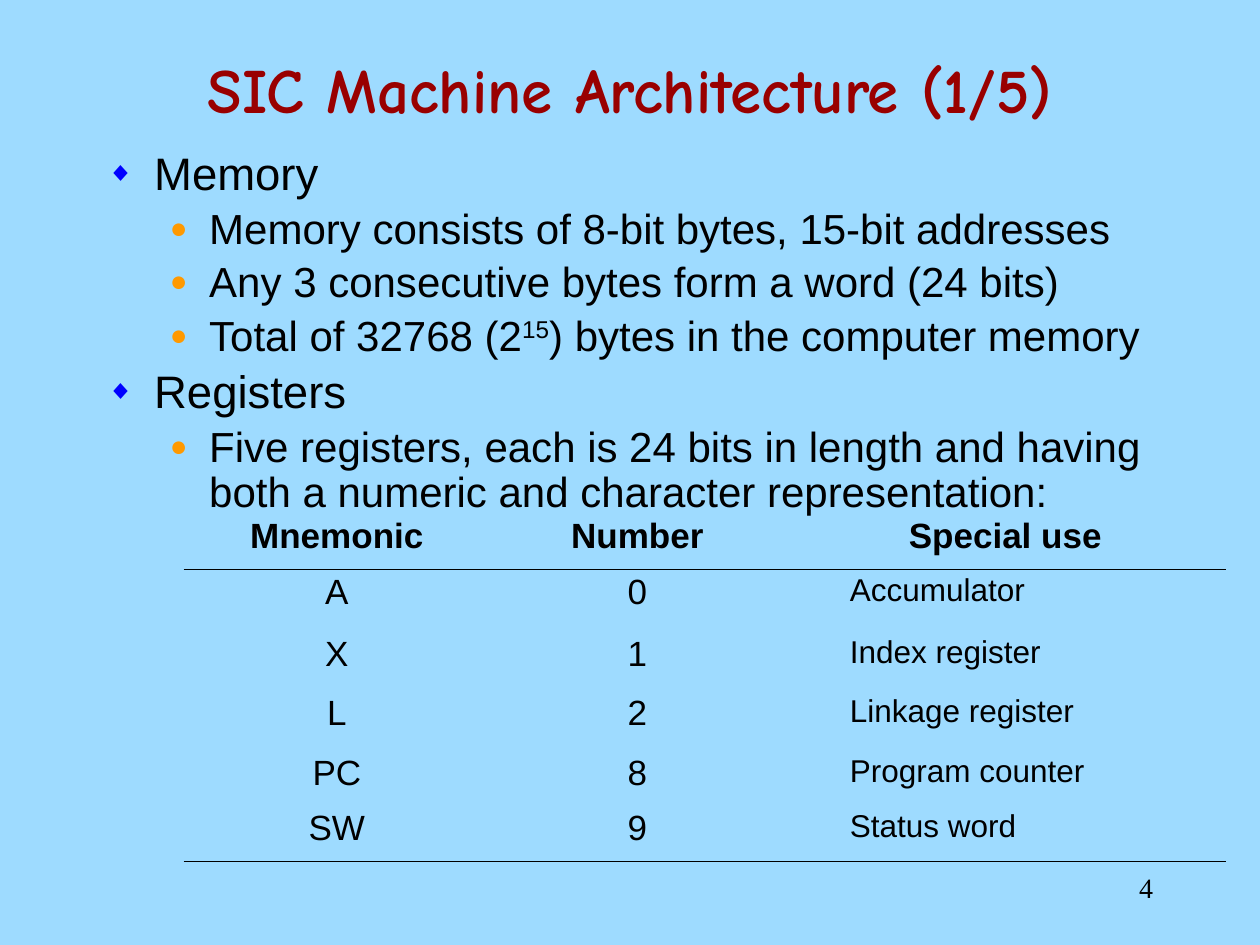
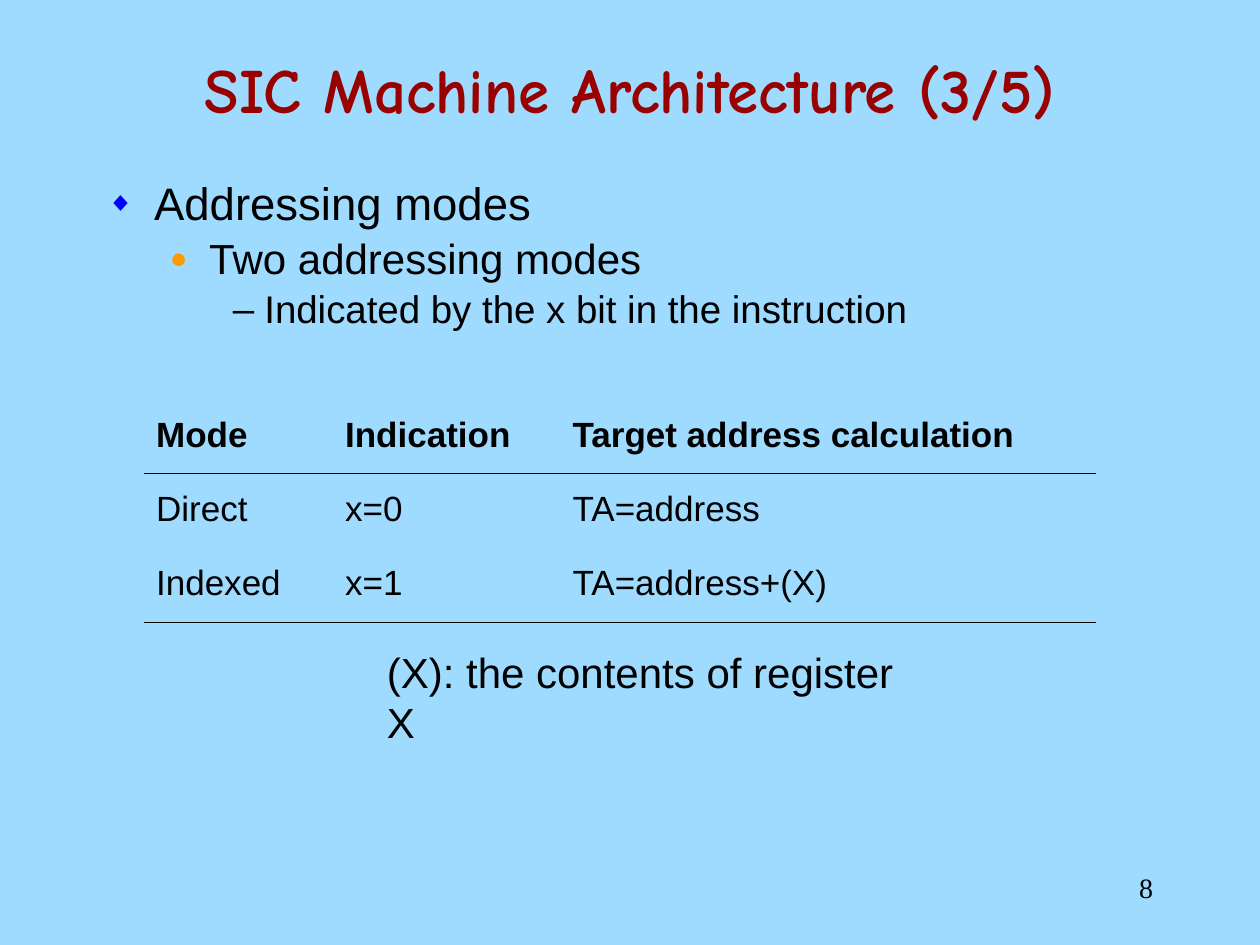
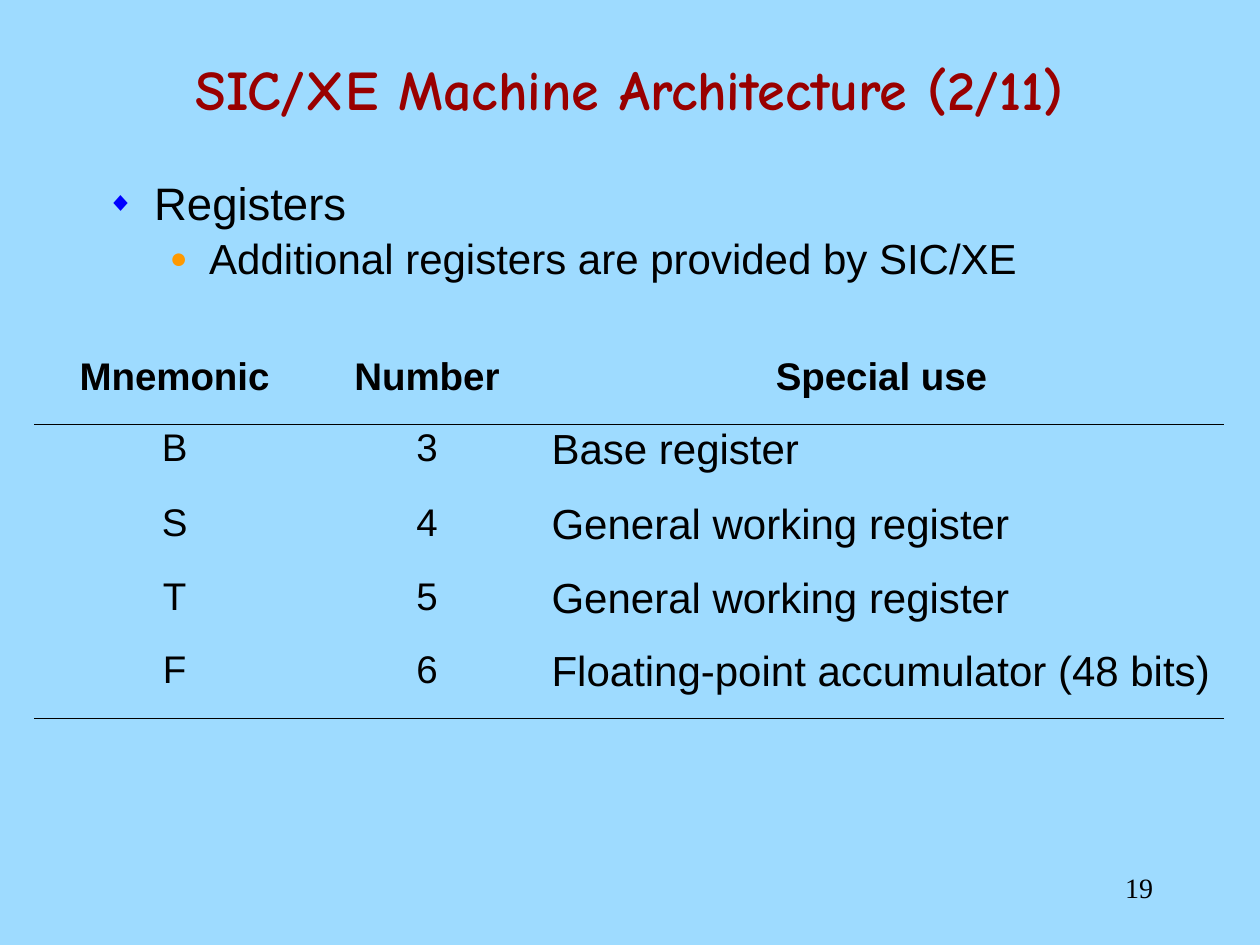
import pptx
import pptx.dml.color
import pptx.enum.text
import pptx.oxml
import pptx.oxml.ns
import pptx.util

Pt = pptx.util.Pt
ALIGN = pptx.enum.text.PP_ALIGN
ANCHOR = pptx.enum.text.MSO_ANCHOR

# Shared look
COLORS = {"background": "9EDBFF", "title": "990000", "text": "000000",
          "diamond": "0000FF", "dot": "FF9900"}
TITLE_FONT, BODY_FONT, NUMBER_FONT = "Comic Neue", "Arial", "Times New Roman"
LINE_SPACING = 0.9
RULE_WIDTH = 0.45
NO_GRID_STYLE = "{2D5ABB26-0587-4C30-8999-92F81FD0307C}"
LEVELS = [
    {"size": 26, "left": 27, "hang": 27, "before": 4.9,
     "bullet": "◆", "color": "diamond", "percent": 60},
    {"size": 24, "left": 58.5, "hang": 22.5, "before": 4.5,
     "bullet": "●", "color": "dot", "percent": 70},
    {"size": 22, "left": 90, "hang": 18, "before": 4.1,
     "bullet": "‒", "color": "text", "percent": 100},
]

# Content: outline entries are (level, text), with ^...^ around superscripts
SLIDES = [
    {
        "title": "SIC Machine Architecture (1/5)", "title_size": 36, "number": "4",
        "outline_top": 83, "outline_height": 457,
        "outline": [
            (0, "Memory"),
            (1, "Memory consists of 8-bit bytes, 15-bit addresses"),
            (1, "Any 3 consecutive bytes form a word (24 bits)"),
            (1, "Total of 32768 (2^15^) bytes in the computer memory"),
            (0, "Registers"),
            (1, "Five registers, each is 24 bits in length and having both "
                "a numeric and character representation:"),
        ],
        "table": {
            "left": 105, "top": 294, "columns": [175, 168.5, 252],
            "heights": [31.5, 35.5, 34, 34, 31.5, 31.5],
            "header_size": 20, "sizes": [20, 20, 18],
            "centered": 2, "center_header": True, "last_indent": 30,
            "anchor": ANCHOR.TOP,
            "rows": [("Mnemonic", "Number", "Special use"),
                     ("A", "0", "Accumulator"),
                     ("X", "1", "Index register"),
                     ("L", "2", "Linkage register"),
                     ("PC", "8", "Program counter"),
                     ("SW", "9", "Status word")],
        },
    },
    {
        "title": "SIC Machine Architecture (3/5)", "title_size": 36, "number": "8",
        "outline_top": 100, "outline_height": 390,
        "outline": [
            (0, "Addressing modes"),
            (1, "Two addressing modes"),
            (2, "Indicated by the x bit in the instruction"),
        ],
        "table": {
            "left": 82, "top": 236, "columns": [108, 130, 306],
            "heights": [34.5, 43, 42],
            "header_size": 20, "sizes": [20, 20, 20],
            "centered": 0, "center_header": False, "last_indent": 0,
            "anchor": ANCHOR.MIDDLE,
            "rows": [("Mode", "Indication", "Target address calculation"),
                     ("Direct", "x=0", "TA=address"),
                     ("Indexed", "x=1", "TA=address+(X)")],
        },
        "note": "(X): the contents of register X",
    },
    {
        "title": "SIC/XE Machine Architecture (2/11)", "title_size": 32, "number": "19",
        "outline_top": 100, "outline_height": 390,
        "outline": [
            (0, "Registers"),
            (1, "Additional registers are provided by SIC/XE"),
        ],
        "table": {
            "left": 19.5, "top": 202, "columns": [160.5, 128, 391.5],
            "heights": [40.5, 43, 42, 42, 41],
            "header_size": 22, "sizes": [22, 22, 24],
            "centered": 2, "center_header": True, "last_indent": 0,
            "anchor": ANCHOR.TOP,
            "rows": [("Mnemonic", "Number", "Special use"),
                     ("B", "3", "Base register"),
                     ("S", "4", "General working register"),
                     ("T", "5", "General working register"),
                     ("F", "6", "Floating-point accumulator (48 bits)")],
        },
    },
]


def rgb(name):
    return pptx.dml.color.RGBColor.from_string(COLORS[name])


def add_xml(parent, xml, index=None):
    """Add an element in the drawing namespace, at the end unless index is given."""
    tag, rest = xml[1:].split(" ", 1)
    element = pptx.oxml.parse_xml(f"<{tag} {pptx.oxml.ns.nsdecls('a')} {rest}")
    parent.insert(len(parent) if index is None else index, element)


def style(paragraph, size, font=BODY_FONT, color="text", bold=False, align=ALIGN.LEFT):
    paragraph.alignment = align
    paragraph.font.name = font
    paragraph.font.size = Pt(size)
    paragraph.font.bold = bold
    paragraph.font.color.rgb = rgb(color)


def add_text_box(slide, left, top, width, height, anchor=ANCHOR.TOP):
    frame = slide.shapes.add_textbox(Pt(left), Pt(top), Pt(width), Pt(height)).text_frame
    frame.word_wrap = True
    frame.vertical_anchor = anchor
    return frame


def add_line(slide, box, text, size, **look):
    frame = add_text_box(slide, *box, anchor=ANCHOR.MIDDLE)
    frame.text = text
    style(frame.paragraphs[0], size, **look)
    return frame


def add_outline(slide, top, height, entries):
    frame = add_text_box(slide, 54, top, 612, height)
    for index, (depth, text) in enumerate(entries):
        level = LEVELS[depth]
        paragraph = frame.add_paragraph() if index else frame.paragraphs[0]
        paragraph.level = depth
        # Bullet
        properties = paragraph._p.get_or_add_pPr()
        properties.set("marL", str(Pt(level["left"])))
        properties.set("indent", str(-Pt(level["hang"])))
        add_xml(properties, f'<a:buClr ><a:srgbClr val="{COLORS[level["color"]]}"/></a:buClr>')
        add_xml(properties, f'<a:buSzPct val="{level["percent"] * 1000}"/>')
        add_xml(properties, f'<a:buFont typeface="{BODY_FONT}"/>')
        add_xml(properties, f'<a:buChar char="{level["bullet"]}"/>')
        # Text, every second part raised
        for part, words in enumerate(text.split("^")):
            run = paragraph.add_run()
            run.text = words
            if part % 2:
                run.font._element.set("baseline", "30000")
        style(paragraph, level["size"])
        paragraph.line_spacing = LINE_SPACING
        if index:
            paragraph.space_before = Pt(level["before"])


def add_register_table(slide, spec_table):
    rows, columns, heights = (spec_table[key] for key in ("rows", "columns", "heights"))
    frame = slide.shapes.add_table(len(rows), len(columns),
                                   Pt(spec_table["left"]), Pt(spec_table["top"]),
                                   Pt(sum(columns)), Pt(sum(heights)))
    table = frame.table
    table.first_row = table.horz_banding = False
    table._tbl.tblPr.find(pptx.oxml.ns.qn("a:tableStyleId")).text = NO_GRID_STYLE
    for column, width in zip(table.columns, columns):
        column.width = Pt(width)
    for row, height in zip(table.rows, heights):
        row.height = Pt(height)

    for r, words in enumerate(rows):
        header = r == 0
        for c, text in enumerate(words):
            cell = table.cell(r, c)
            cell.text = text
            cell.fill.background()
            cell.vertical_anchor = ANCHOR.TOP if header else spec_table["anchor"]
            centered = spec_table["center_header"] if header else c < spec_table["centered"]
            paragraph = cell.text_frame.paragraphs[0]
            style(paragraph, spec_table["header_size"] if header else spec_table["sizes"][c],
                  bold=header, align=ALIGN.CENTER if centered else ALIGN.LEFT)
            paragraph.line_spacing = LINE_SPACING
            if not header and c == len(columns) - 1:
                paragraph._p.get_or_add_pPr().set("marL", str(Pt(spec_table["last_indent"])))
            # Rules under the header and the last row
            if header or r == len(rows) - 1:
                add_xml(cell._tc.get_or_add_tcPr(),
                        f'<a:lnB w="{Pt(RULE_WIDTH)}"><a:solidFill>'
                        f'<a:srgbClr val="{COLORS["text"]}"/></a:solidFill></a:lnB>', 0)


def main():
    deck = pptx.Presentation()
    deck.slide_width, deck.slide_height = Pt(720), Pt(540)
    background = deck.slide_master.background.fill
    background.solid()
    background.fore_color.rgb = rgb("background")

    for content in SLIDES:
        slide = deck.slides.add_slide(deck.slide_layouts[6])
        add_line(slide, (588, 492, 78, 30), content["number"], 16,
                 font=NUMBER_FONT, align=ALIGN.RIGHT)
        add_line(slide, (54, 18, 612, 65), content["title"], content["title_size"],
                 font=TITLE_FONT, color="title", bold=True, align=ALIGN.CENTER)
        add_outline(slide, content["outline_top"], content["outline_height"],
                    content["outline"])
        add_register_table(slide, content["table"])
        if "note" in content:
            note = add_line(slide, (214, 380, 326, 36), content["note"], 24)
            note.word_wrap = False
            note.auto_size = pptx.enum.text.MSO_AUTO_SIZE.SHAPE_TO_FIT_TEXT

    deck.save("out.pptx")


if __name__ == "__main__":
    main()
